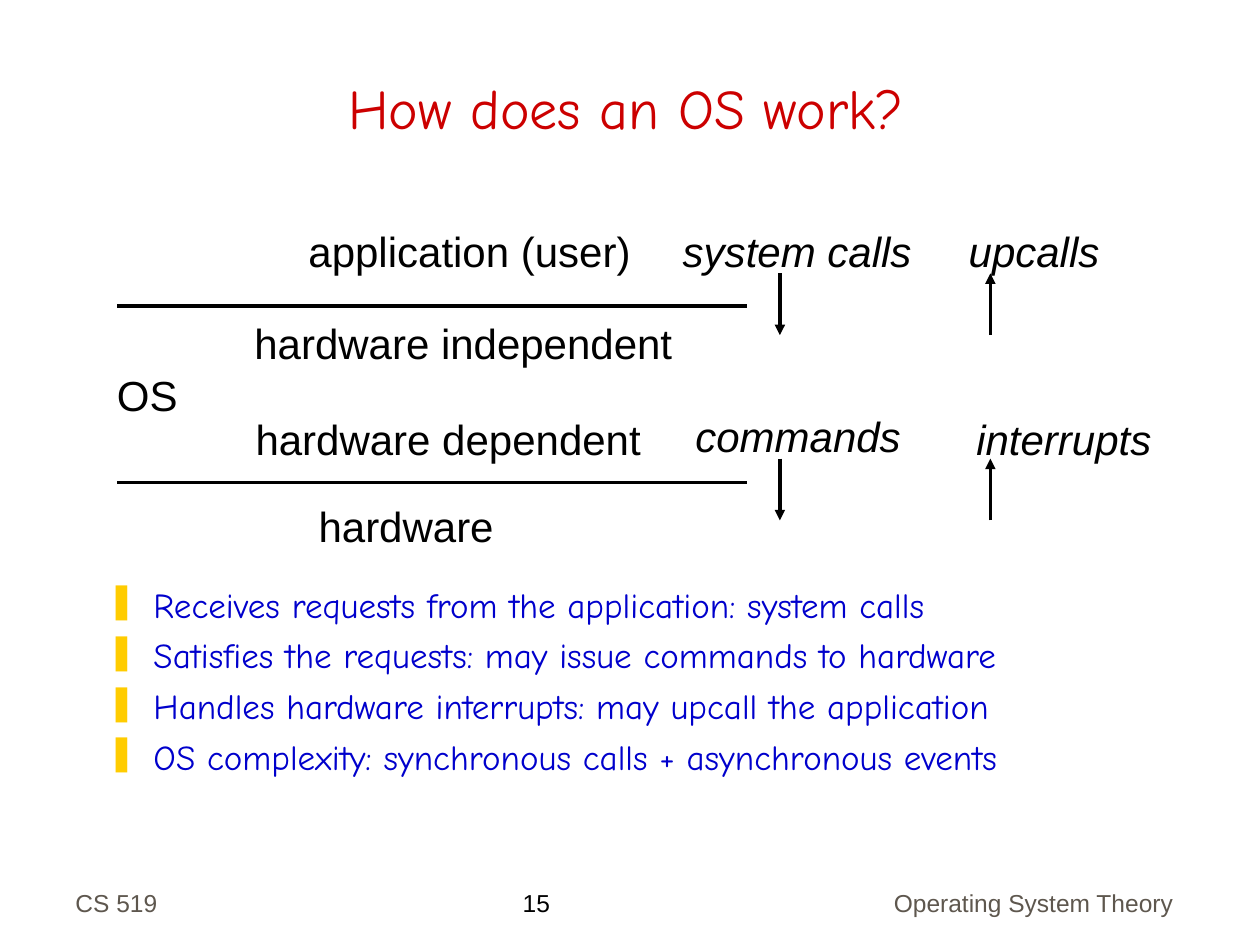
from lxml import etree
from pptx import Presentation
from pptx.dml.color import RGBColor
from pptx.enum.shapes import MSO_CONNECTOR
from pptx.enum.text import MSO_ANCHOR, MSO_AUTO_SIZE, PP_ALIGN
from pptx.oxml.ns import qn
from pptx.util import Inches, Pt

BLACK = RGBColor(0x00, 0x00, 0x00)
GREY = RGBColor(0x5E, 0x57, 0x4E)
RED = RGBColor(0xCC, 0x00, 0x00)
BLUE = RGBColor(0x00, 0x00, 0xCC)
YELLOW = RGBColor(0xFF, 0xCC, 0x00)

prs = Presentation()
prs.slide_width, prs.slide_height = Inches(10), Inches(7.5)
s = prs.slides.add_slide(prs.slide_layouts[5])


def write(p, text, size, color, name="Arial", italic=False):
    r = p.add_run()
    r.text = text
    r.font.size, r.font.name, r.font.italic = Pt(size), name, italic
    r.font.color.rgb = color


def add_line(x1, y1, x2, y2, arrow=False):
    line = s.shapes.add_connector(
        MSO_CONNECTOR.STRAIGHT, Inches(x1), Inches(y1), Inches(x2), Inches(y2))
    line.line.color.rgb = BLACK
    line.line.width = Pt(2)
    if arrow:
        etree.SubElement(line.line._get_or_add_ln(), qn("a:tailEnd"), type="triangle")
    etree.SubElement(line._element.spPr, qn("a:effectLst"))


title = s.shapes.title
title.left, title.top = Inches(0.44), Inches(0.25)
title.width, title.height = Inches(9.06), Inches(0.92)
tf = title.text_frame
tf.vertical_anchor = MSO_ANCHOR.BOTTOM
p = tf.paragraphs[0]
p.alignment = PP_ALIGN.CENTER
write(p, "How does an OS work?", 32, RED, "Comic Neue")

footers = [
    ("CS 519", 0.5, 6.83, 2.08, 0.5, GREY, PP_ALIGN.LEFT, MSO_ANCHOR.BOTTOM),
    ("15", 4.05, 7, 1.09, 0.34, BLACK, PP_ALIGN.LEFT, MSO_ANCHOR.TOP),
    ("Operating System Theory", 6.9, 6.83, 2.51, 0.5, GREY, PP_ALIGN.RIGHT, MSO_ANCHOR.BOTTOM),
]
for text, x, y, w, h, color, align, anchor in footers:
    tf = s.shapes.add_textbox(Inches(x), Inches(y), Inches(w), Inches(h)).text_frame
    tf.word_wrap = True
    tf.vertical_anchor = anchor
    p = tf.paragraphs[0]
    p.alignment = align
    write(p, text, 14, color)

labels = [
    ("application (user)", 2.35, 1.74, 2.76, False),
    ("hardware independent", 1.92, 2.47, 3.52, False),
    ("OS", 0.83, 2.88, 0.68, False),
    ("hardware dependent", 1.93, 3.23, 3.26, False),
    ("hardware", 2.43, 3.92, 1.59, False),
    ("system calls", 5.32, 1.74, 2.05, True),
    ("upcalls", 7.59, 1.74, 1.24, True),
    ("commands", 5.42, 3.21, 1.83, True),
    ("interrupts", 7.65, 3.23, 1.59, True),
]
for text, x, y, w, italic in labels:
    tf = s.shapes.add_textbox(Inches(x), Inches(y), Inches(w), Inches(0.5)).text_frame
    tf.word_wrap = False
    tf.auto_size = MSO_AUTO_SIZE.SHAPE_TO_FIT_TEXT
    write(tf.paragraphs[0], text, 24, BLACK, italic=italic)

for y in (2.43, 3.83):
    add_line(0.93, y, 5.93, y)
for top in (2.17, 3.64):
    bottom = top + 0.49
    add_line(6.19, top, 6.19, bottom, arrow=True)
    add_line(7.86, bottom, 7.86, top, arrow=True)

points = [
    "Receives requests from the application: system calls",
    "Satisfies the requests: may issue commands to hardware",
    "Handles hardware interrupts: may upcall the application",
    "OS complexity: synchronous calls + asynchronous events",
]
tf = s.shapes.add_textbox(Inches(0.75), Inches(4.58), Inches(8.5), Inches(2.33)).text_frame
tf.word_wrap = True
for i, text in enumerate(points):
    p = tf.add_paragraph() if i else tf.paragraphs[0]
    pPr = p._p.get_or_add_pPr()
    pPr.set("marL", str(Inches(0.37)))
    pPr.set("indent", str(-Inches(0.37)))
    buClr = etree.SubElement(pPr, qn("a:buClr"))
    etree.SubElement(buClr, qn("a:srgbClr"), val=str(YELLOW))
    etree.SubElement(pPr, qn("a:buChar"), char="❚")
    if i:
        p.space_before = Pt(5)
    write(p, text, 20, BLUE, "Comic Neue")

prs.save("out.pptx")
